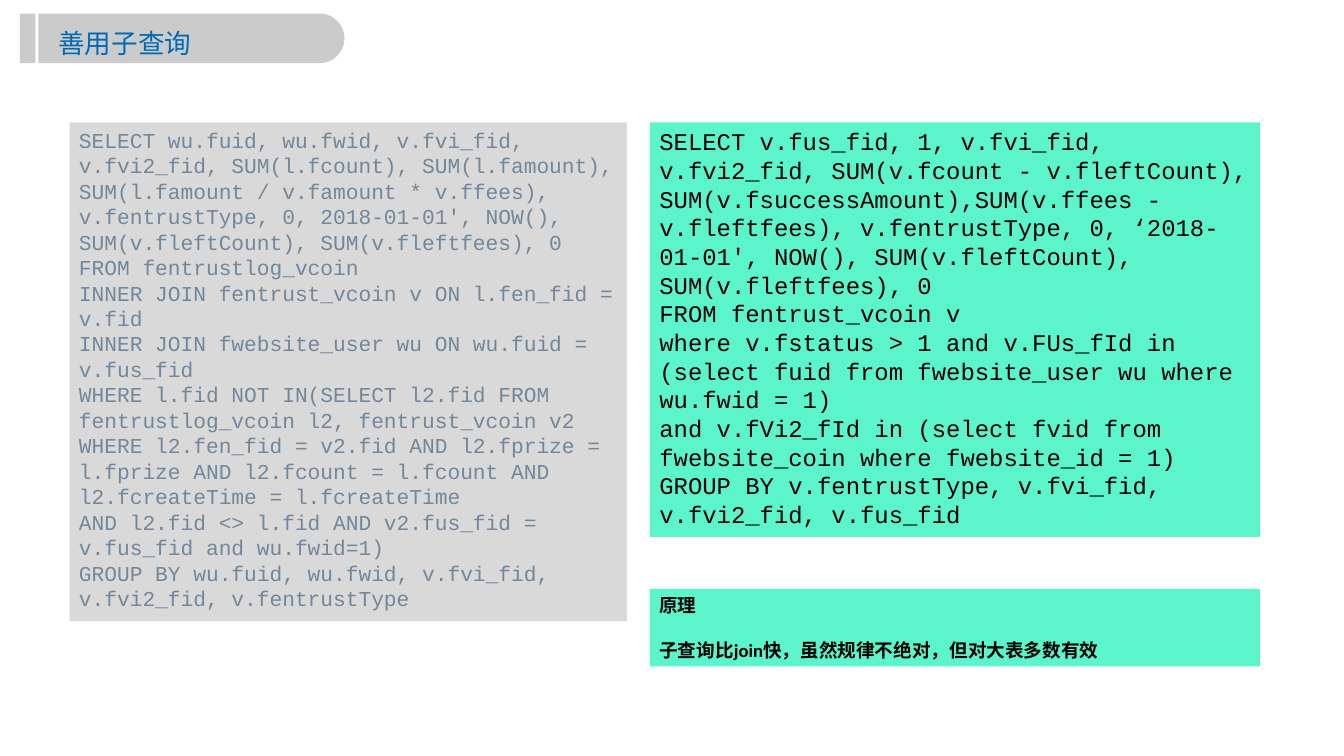
"""Build a slide that compares a joined SQL query with a subquery version."""
from lxml import etree
from pptx import Presentation
from pptx.dml.color import RGBColor
from pptx.enum.shapes import MSO_SHAPE
from pptx.enum.text import MSO_ANCHOR, PP_ALIGN
from pptx.oxml.ns import qn
from pptx.util import Cm, Pt

RECT = MSO_SHAPE.RECTANGLE
ROUND = MSO_SHAPE.ROUND_2_SAME_RECTANGLE
TOP = MSO_ANCHOR.TOP
LEFT = PP_ALIGN.LEFT

SILVER = RGBColor(0xBF, 0xBF, 0xBF)
GREY = RGBColor(0xD9, 0xD9, 0xD9)
MINT = RGBColor(0x5C, 0xF5, 0xCB)
BLUE = RGBColor(0x00, 0x6A, 0xB6)
SLATE = RGBColor(0x73, 0x87, 0x9B)
BLACK = RGBColor(0, 0, 0)

TITLE = "善用子查询"
JOINS = [
    "SELECT wu.fuid, wu.fwid, v.fvi_fid, v.fvi2_fid, SUM(l.fcount), SUM(l.famount),",
    "SUM(l.famount / v.famount * v.ffees), v.fentrustType, 0, 2018-01-01', NOW(), "
    "SUM(v.fleftCount), SUM(v.fleftfees), 0",
    "FROM fentrustlog_vcoin",
    "INNER JOIN fentrust_vcoin v ON l.fen_fid = v.fid",
    "INNER JOIN fwebsite_user wu ON wu.fuid = v.fus_fid",
    "WHERE l.fid NOT IN(SELECT l2.fid FROM fentrustlog_vcoin l2, fentrust_vcoin v2",
    "WHERE l2.fen_fid = v2.fid AND l2.fprize = l.fprize AND l2.fcount = l.fcount "
    "AND l2.fcreateTime = l.fcreateTime",
    "AND l2.fid <> l.fid AND v2.fus_fid = v.fus_fid and wu.fwid=1)",
    "GROUP BY wu.fuid, wu.fwid, v.fvi_fid, v.fvi2_fid, v.fentrustType",
]
NESTED = [
    "SELECT v.fus_fid, 1, v.fvi_fid, v.fvi2_fid, SUM(v.fcount - v.fleftCount), "
    "SUM(v.fsuccessAmount),SUM(v.ffees - v.fleftfees), v.fentrustType, 0, "
    "‘2018-01-01', NOW(), SUM(v.fleftCount), SUM(v.fleftfees), 0",
    "FROM fentrust_vcoin v",
    "where v.fstatus > 1 and v.FUs_fId in (select fuid from fwebsite_user wu "
    "where wu.fwid = 1)",
    "and v.fVi2_fId in (select fvid from fwebsite_coin where fwebsite_id = 1)",
    "GROUP BY v.fentrustType, v.fvi_fid, v.fvi2_fid, v.fus_fid",
]
REASON = ["原理", "子查询比join快，虽然规律不绝对，但对大表多数有效"]

CODE_TOP = 3.25
RIGHT_X, RIGHT_W = 17.27, 16.21
PANELS = [
    (JOINS, (1.85, CODE_TOP, 14.81, 13.26), GREY, ("Courier New", 16, SLATE, False), 0),
    (NESTED, (RIGHT_X, CODE_TOP, RIGHT_W, 11.02), MINT,
     ("Courier New", 18, BLACK, False), 0),
    (REASON, (RIGHT_X, 15.65, RIGHT_W, 2.06), MINT, ("Calibri", 14, BLACK, True), 17),
]
BAR_X, BAR_W = 0.53, 0.41
TAB_X, TAB_Y, TAB_W, TAB_H = 1.02, 0.36, 8.13, 1.32


def add_block(slide, kind, box, fill, alpha=100):
    """Add a filled shape without line or shadow."""
    shape = slide.shapes.add_shape(kind, *map(Cm, box))
    shape.shadow.inherit = False
    shape.line.fill.background()
    shape.fill.solid()
    shape.fill.fore_color.rgb = fill
    if alpha < 100:
        color = shape.fill._xPr.find(".//" + qn("a:srgbClr"))
        etree.SubElement(color, qn("a:alpha")).set("val", str(alpha * 1000))
    return shape


def write(frame, lines, style, gap=0):
    """Fill a frame with styled lines, a gap in points between them."""
    face, size, color, bold = style
    frame.word_wrap = True
    frame.vertical_anchor = TOP
    frame.text = "\n".join(lines)
    for i, para in enumerate(frame.paragraphs):
        para.alignment = LEFT
        para.space_before = Pt(gap if i else 0)
        for run in para.runs:
            font = run.font
            font.name, font.size, font.bold = face, Pt(size), bold
            font.color.rgb = color


def add_header(slide):
    """Add the bar, the rounded tab and the title."""
    add_block(slide, RECT, (BAR_X, TAB_Y, BAR_W, TAB_H), SILVER, 80)
    shift = (TAB_W - TAB_H) / 2
    tab = add_block(slide, ROUND, (TAB_X + shift, TAB_Y - shift, TAB_H, TAB_W), SILVER, 80)
    tab.adjustments[0] = 0.5
    tab.rotation = 90
    frame = slide.shapes.add_textbox(Cm(1.37), Cm(0.46), Cm(7.9), Cm(1.12)).text_frame
    frame.margin_left = frame.margin_right = Cm(0.18)
    frame.margin_top = frame.margin_bottom = Cm(0.1)
    write(frame, [TITLE], ("Arial", 20, BLUE, False))
    frame.paragraphs[0].line_spacing = 1.2


def main():
    """Build and save the deck."""
    deck = Presentation()
    deck.slide_width, deck.slide_height = Cm(35.71), Cm(20.09)
    slide = deck.slides.add_slide(deck.slide_layouts[6])
    add_header(slide)
    for lines, box, fill, style, gap in PANELS:
        write(add_block(slide, RECT, box, fill).text_frame, lines, style, gap)
    deck.save("out.pptx")


if __name__ == "__main__":
    main()
